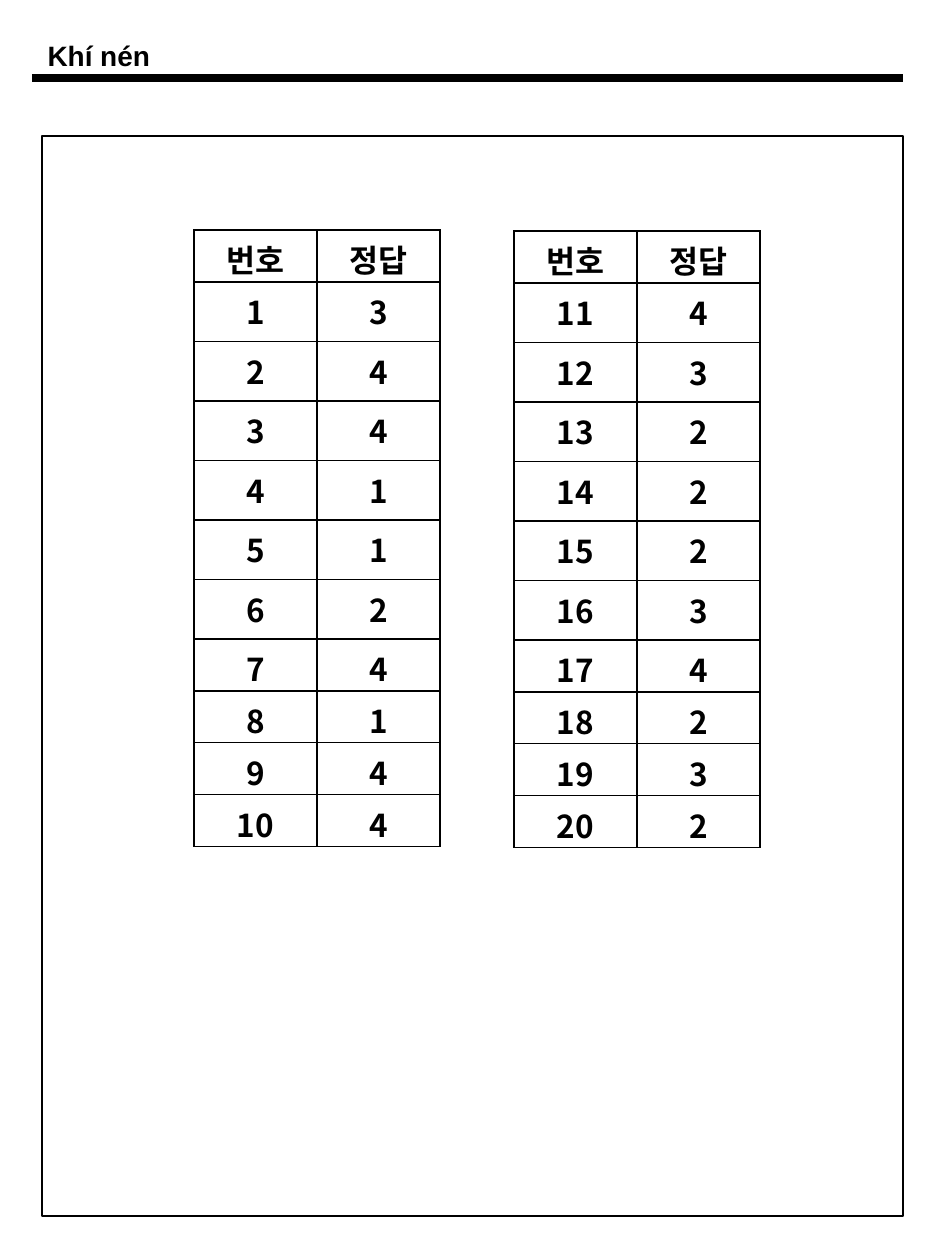
from pptx import Presentation
from pptx.dml.color import RGBColor
from pptx.enum.shapes import MSO_CONNECTOR as Link, MSO_SHAPE as Shape
from pptx.enum.text import MSO_ANCHOR as Anchor, PP_ALIGN as Align
from pptx.oxml.ns import qn
from pptx.util import Emu, Pt
from lxml.etree import SubElement as Sub

BLACK = RGBColor(0, 0, 0)
WHITE = RGBColor(255, 255, 255)
HEAD = ("번호", "정답")
COL = 123
ROWS = [51] + [59.5] * 6 + [51.5] * 4
KEYS = ((194, 230, 1, "3441124144"), (514, 231, 11, "4322234232"))


def px(n):
    return Emu(round(n * 914400 / 126))


class Page:
    """Holds the text style and the current slide."""

    def __init__(self, slide):
        self.slide = slide
        self.shapes = slide.shapes
        self.font = "Noto Sans CJK KR"
        self.size = 18

    def label(self, para, text, font=None, size=None):
        run = para.add_run()
        run.text = text
        style = run.font
        style.name = font or self.font
        style.size = Pt(size or self.size)
        style.bold = True
        style.color.rgb = BLACK
        Sub(run._r.rPr, qn("a:ea"), typeface=style.name)

    def title(self, text, x, y, w, h):
        box = self.shapes.title
        box.left, box.top, box.width, box.height = map(px, (x, y, w, h))
        frame = box.text_frame
        frame.word_wrap = False
        frame.vertical_anchor = Anchor.TOP
        para = frame.paragraphs[0]
        para.alignment = Align.LEFT
        self.label(para, text, "Arial", 16)

    def rule(self, x, y, end, width):
        line = self.shapes.add_connector(Link.STRAIGHT, px(x), px(y), px(end), px(y))
        line.line.color.rgb = BLACK
        line.line.width = Pt(width)
        Sub(line._element.spPr, qn("a:effectLst"))

    def frame(self, x, y, w, h):
        box = self.shapes.add_shape(Shape.RECTANGLE, *map(px, (x, y, w, h)))
        box.shadow.inherit = False
        box.fill.background()
        box.line.color.rgb = BLACK
        box.line.width = Pt(0.75)

    def edge(self, cell):
        """Draw the four borders, which must come before the cell's fill."""
        props = cell._tc.get_or_add_tcPr()
        for side in ("lnL", "lnR", "lnT", "lnB"):
            line = Sub(props, qn("a:" + side), w=str(Pt(1)))
            fill = Sub(line, qn("a:solidFill"))
            Sub(fill, qn("a:srgbClr"), val=str(BLACK))

    def grid(self, x, y, rows):
        size = map(px, (x, y, COL * 2, sum(ROWS)))
        table = self.shapes.add_table(len(rows), 2, *size).table
        table.first_row = table.horz_banding = False
        for col in table.columns:
            col.width = px(COL)
        for row, high, texts in zip(table.rows, ROWS, rows):
            row.height = px(high)
            for cell, text in zip(row.cells, texts):
                self.edge(cell)
                cell.fill.solid()
                cell.fill.fore_color.rgb = WHITE
                cell.margin_bottom = 0
                para = cell.text_frame.paragraphs[0]
                para.alignment = Align.CENTER
                self.label(para, text)


def main():
    deck = Presentation()
    deck.slide_width, deck.slide_height = px(945), px(1260)
    page = Page(deck.slides.add_slide(deck.slide_layouts.get_by_name("Title Only")))
    page.rule(32, 78, 903, 4.5)
    page.frame(42, 136, 861, 1080)
    for x, y, first, keys in KEYS:
        rows = [HEAD] + [(str(n), key) for n, key in enumerate(keys, first)]
        page.grid(x, y, rows)
    page.title("Khí nén", 35, 32, 137, 47)
    deck.save("out.pptx")


if __name__ == "__main__":
    main()
